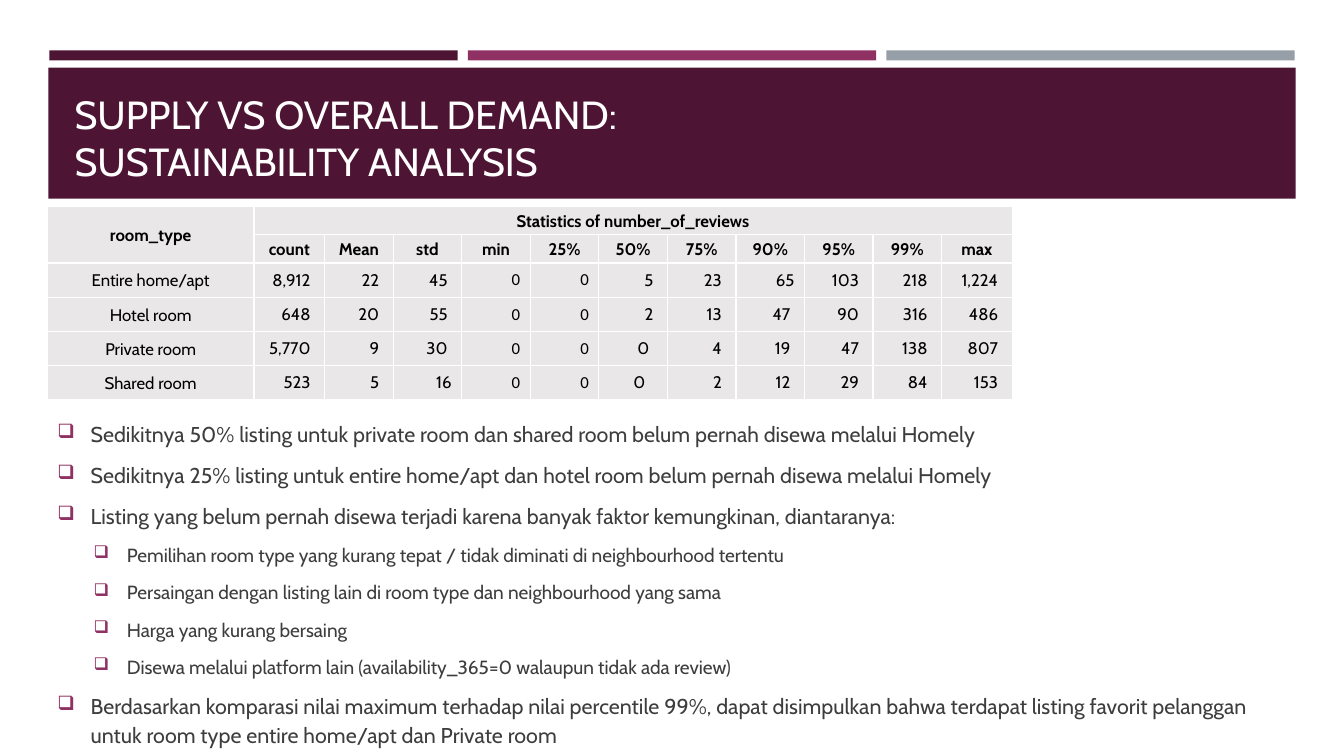
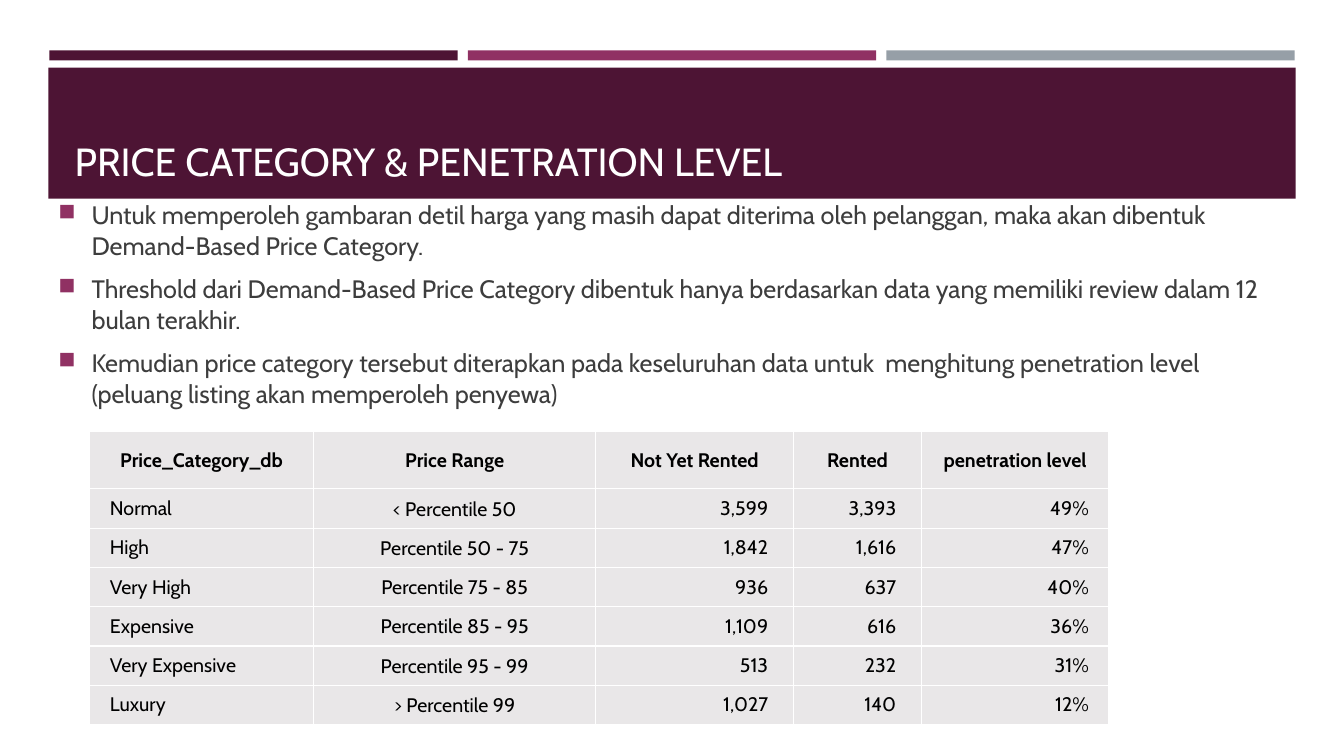
from lxml import etree
from pptx import Presentation
from pptx import util as u
from pptx.dml.color import RGBColor
from pptx.enum import shapes, text
from pptx.oxml.ns import qn

COLORS = {"plum": "4D1434", "berry": "903163", "steel": "969FA7",
          "cell": "E9E7E8", "white": "FFFFFF", "black": "000000", "body": "3D3D3D"}
FONT = "Cabin"
ALIGN = {"l": text.PP_ALIGN.LEFT, "c": text.PP_ALIGN.CENTER, "r": text.PP_ALIGN.RIGHT}
WIDTH, HEIGHT = 13.33, 7.5
MARGIN = 0.48
CENTERED = (0.01, 0.01, 0.01, 0)

REVIEW_TITLE = "SUPPLY VS OVERALL DEMAND:\vSUSTAINABILITY ANALYSIS"
REVIEW_HEADS = [
    ["room_type", "Statistics of number_of_reviews"] + [""] * 10,
    ["", "count", "Mean", "std", "min", "25%", "50%", "75%", "90%", "95%", "99%", "max"],
]
REVIEW_ROWS = [
    ["Entire home/apt", "8,912", "22", "45", "0", "0", "5", "23", "65", "103", "218", "1,224"],
    ["Hotel room", "648", "20", "55", "0", "0", "2", "13", "47", "90", "316", "486"],
    ["Private room", "5,770", "9", "30", "0", "0", "0", "4", "19", "47", "138", "807"],
    ["Shared room", "523", "5", "16", "0", "0", "0", "2", "12", "29", "84", "153"],
]
REVIEW_INSETS = {(2, 8): 0.1, (5, 3): 0.1, (4, 6): 0.18, (5, 6): 0.22}
ZERO_COLUMNS = (4, 5)
REVIEW_POINTS = [
    (0, "Sedikitnya 50% listing untuk private room dan shared room belum pernah disewa melalui Homely"),
    (0, "Sedikitnya 25% listing untuk entire home/apt dan hotel room belum pernah disewa melalui Homely"),
    (0, "Listing yang belum pernah disewa terjadi karena banyak faktor kemungkinan, diantaranya:"),
    (1, "Pemilihan room type yang kurang tepat / tidak diminati di neighbourhood tertentu"),
    (1, "Persaingan dengan listing lain di room type dan neighbourhood yang sama"),
    (1, "Harga yang kurang bersaing"),
    (1, "Disewa melalui platform lain (availability_365=0 walaupun tidak ada review)"),
    (0, "Berdasarkan komparasi nilai maximum terhadap nilai percentile 99%, dapat disimpulkan bahwa "
        "terdapat listing favorit pelanggan untuk room type entire home/apt dan Private room"),
]

PRICE_TITLE = "PRICE CATEGORY & PENETRATION LEVEL"
PRICE_HEADS = [["Price_Category_db", "Price Range", "Not Yet Rented", "Rented", "penetration level"]]
PRICE_ROWS = [
    ["Normal", "< Percentile 50", "3,599", "3,393", "49%"],
    ["High", "Percentile 50 - 75", "1,842", "1,616", "47%"],
    ["Very High", "Percentile 75 - 85", "936", "637", "40%"],
    ["Expensive", "Percentile 85 - 95", "1,109", "616", "36%"],
    ["Very Expensive", "Percentile 95 - 99", "513", "232", "31%"],
    ["Luxury", "> Percentile 99", "1,027", "140", "12%"],
]
PRICE_STYLES = [("l", (0.2, 0.03, 0.01, 0.03)), ("c", CENTERED)] + [
    ("r", (0.01, 0.03, inset, 0.03)) for inset in (0.25, 0.25, 0.2)]
PRICE_POINTS = [
    (0, "Untuk memperoleh gambaran detil harga yang masih dapat diterima oleh pelanggan, maka akan "
        "dibentuk Demand-Based Price Category."),
    (0, "Threshold dari Demand-Based Price Category dibentuk hanya berdasarkan data yang memiliki "
        "review dalam 12 bulan terakhir."),
    (0, "Kemudian price category tersebut diterapkan pada keseluruhan data untuk  menghitung "
        "penetration level (peluang listing akan memperoleh penyewa)"),
]


def rgb(name):
    return RGBColor.from_string(COLORS[name])


def inches(*lengths):
    return [u.Inches(length) for length in lengths]


def set_font(para, size, color, bold=False, name=FONT):
    font = para.font
    font.name, font.size, font.bold = name, u.Pt(size), bold
    font.color.rgb = rgb(color)


def add_bands(page, layout):
    gap = 0.1
    left, span = MARGIN + 0.01, WIDTH - 2 * MARGIN - 0.02
    width = (span - 2 * gap) / 3
    bands = [(left + i * (width + gap), 0.5, width, 0.1, color)
             for i, color in enumerate(("plum", "berry", "steel"))]
    bands.append((MARGIN, 0.67, WIDTH - 2 * MARGIN, 1.3, "plum"))
    for *place, color in bands:
        band = page.shapes.add_shape(shapes.MSO_SHAPE.RECTANGLE, *inches(*place))
        band.shadow.inherit = False
        band.fill.solid()
        band.fill.fore_color.rgb = rgb(color)
        band.line.fill.background()
        layout.shapes.element.append(band.element)


def set_title(page, words):
    title = page.shapes.title
    title.left, title.top, title.width, title.height = inches(0.64, 0.77, 12.06, 1.11)
    frame = title.text_frame
    frame.text = words
    frame.auto_size = text.MSO_AUTO_SIZE.NONE
    frame.vertical_anchor = text.MSO_ANCHOR.BOTTOM
    para = frame.paragraphs[0]
    para.alignment = ALIGN["l"]
    set_font(para, 28, "white")


def add_bullet(para, sign, left):
    props = para._p.get_or_add_pPr()
    props.set("marL", str(u.Inches(left)))
    props.set("indent", str(-u.Inches(0.33)))
    color = etree.SubElement(props, qn("a:buClr"))
    etree.SubElement(color, qn("a:srgbClr")).set("val", COLORS["berry"])
    etree.SubElement(props, qn("a:buSzPct")).set("val", "92000")
    etree.SubElement(props, qn("a:buChar")).set("char", sign)


def add_points(page, place, points, sign, sizes, spacing):
    frame = page.shapes.add_textbox(*inches(*place)).text_frame
    frame.word_wrap = True
    frame.vertical_anchor = text.MSO_ANCHOR.MIDDLE
    for i, (level, words) in enumerate(points):
        para = frame.add_paragraph() if i else frame.paragraphs[0]
        para.text = words
        para.level = level
        para.line_spacing = spacing
        para.space_before, para.space_after = u.Pt(0.2 * sizes[level]), u.Pt(6)
        add_bullet(para, sign, 0.33 + 0.36 * level)
        set_font(para, sizes[level], "body")


def add_borders(cell):
    props = cell._tc.get_or_add_tcPr()
    for side in ("lnL", "lnR", "lnT", "lnB"):
        line = etree.SubElement(props, qn("a:" + side))
        line.set("w", str(u.Pt(1)))
        fill = etree.SubElement(line, qn("a:solidFill"))
        etree.SubElement(fill, qn("a:srgbClr")).set("val", COLORS["white"])


def add_grid(page, left, top, widths, heights, heads, rows, size, style):
    values = heads + rows
    table = page.shapes.add_table(len(values), len(widths),
                                  *inches(left, top, sum(widths), sum(heights))).table
    table.first_row = table.horz_banding = False
    for column, width in zip(table.columns, widths):
        column.width = u.Inches(width)
    for row, height in zip(table.rows, heights):
        row.height = u.Inches(height)
    for r, line in enumerate(values):
        for c, words in enumerate(line):
            head = r < len(heads)
            align, insets, font = ("c", CENTERED, FONT) if head else style(r, c)
            cell = table.cell(r, c)
            add_borders(cell)
            cell.fill.solid()
            cell.fill.fore_color.rgb = rgb("cell")
            cell.vertical_anchor = text.MSO_ANCHOR.MIDDLE
            cell.margin_left, cell.margin_top, cell.margin_right, cell.margin_bottom = inches(*insets)
            cell.text = words
            para = cell.text_frame.paragraphs[0]
            para.alignment = ALIGN[align]
            set_font(para, size, "black", head, font)
    return table


def review_style(row, column):
    if column == 0:
        return "c", CENTERED, FONT
    zero = column in ZERO_COLUMNS
    inset = REVIEW_INSETS.get((row, column), 0.1 if zero else 0.14)
    return "r", (0.01, 0.03, inset, 0.03), "Calibri" if zero else FONT


def price_style(row, column):
    return *PRICE_STYLES[column], FONT


def build_reviews(page):
    set_title(page, REVIEW_TITLE)
    add_points(page, (0.47, 4.07, 12.06, 3.43), REVIEW_POINTS, "❑", (15.3, 13.6), 1.1)
    table = add_grid(page, 0.47, 2.05, [2.05, 0.7] + [0.68] * 9 + [0.7],
                     [0.28] * 2 + [0.34] * 4, REVIEW_HEADS, REVIEW_ROWS, 12, review_style)
    table.cell(0, 0).merge(table.cell(1, 0))
    table.cell(0, 1).merge(table.cell(0, 11))


def build_prices(page):
    set_title(page, PRICE_TITLE)
    add_points(page, (MARGIN, 1.88, 12.36, 2.27), PRICE_POINTS, "■", (18,), 1.0)
    add_grid(page, 0.89, 4.28, [2.22, 2.8, 1.96, 1.27, 1.86],
             [0.57] + [0.39] * 6, PRICE_HEADS, PRICE_ROWS, 14, price_style)


def main():
    deck = Presentation()
    deck.slide_width, deck.slide_height = inches(WIDTH, HEIGHT)
    layout = deck.slide_layouts.get_by_name("Title Only")
    pages = [deck.slides.add_slide(layout) for _ in range(2)]
    add_bands(pages[0], layout)
    for page, build in zip(pages, (build_reviews, build_prices)):
        build(page)
    deck.save("out.pptx")


if __name__ == "__main__":
    main()
